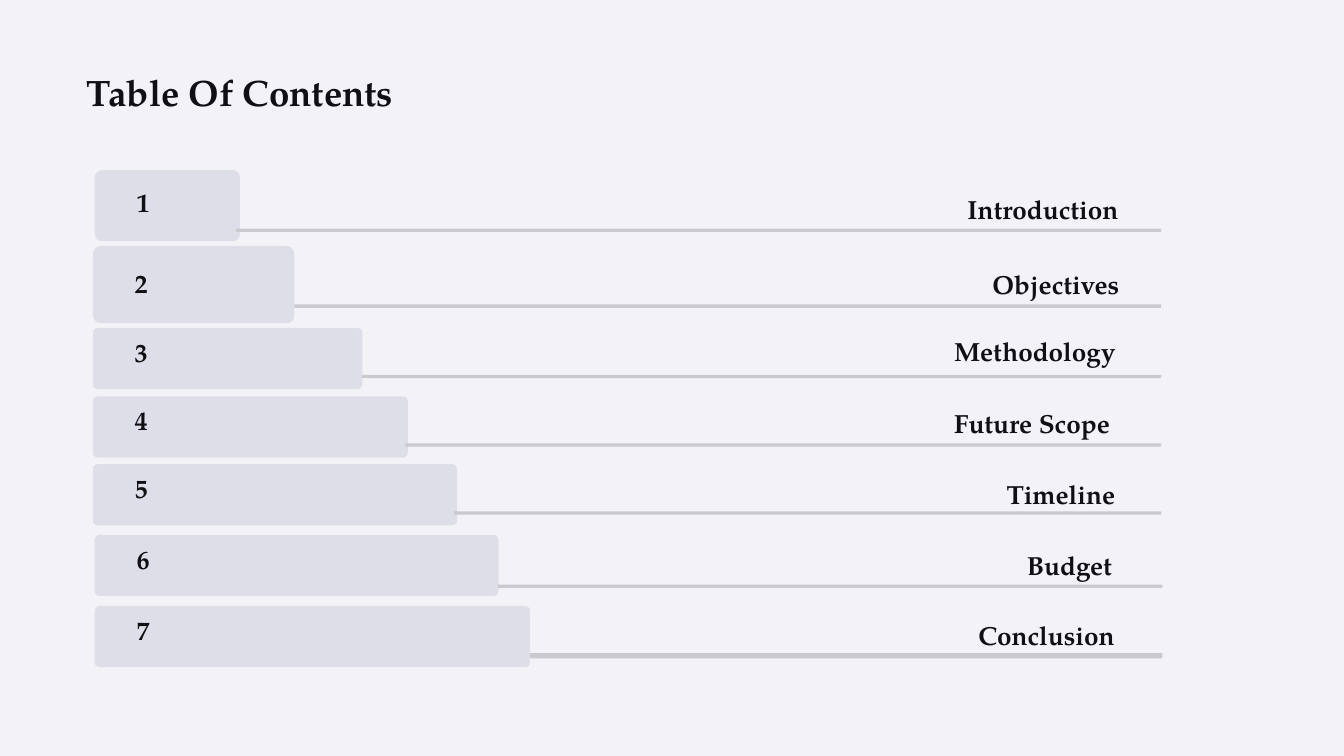
from dataclasses import dataclass

from pptx import Presentation
from pptx.dml.color import RGBColor
from pptx.enum.shapes import MSO_SHAPE
from pptx.enum.text import MSO_ANCHOR, MSO_AUTO_SIZE, PP_ALIGN
from pptx.util import Cm, Pt

FONT = "TeX Gyre Pagella"
INK = "101014"
BACKGROUND = "F3F3F7"
BAR = "DEDEE9"
RULE = "C9C9CE"


@dataclass
class Entry:
    label: str
    bar_left: float
    bar_top: float
    bar_width: float
    rule_left: float
    rule_top: float
    label_left: float
    label_top: float
    bar_height: float = 2.31
    corner: float = 0.08
    number_drop: float = 0.26
    rule_right: float = 43.89
    rule_height: float = 0.13


ENTRIES = [
    Entry("Introduction", 3.58, 6.43, 5.49, 8.92, 8.64, 36.32, 7.49,
          bar_height=2.69, corner=0.1, number_drop=0.58),
    Entry("Objectives", 3.51, 9.3, 7.62, 11.13, 11.51, 37.26, 10.34,
          bar_height=2.92, corner=0.1, number_drop=0.76),
    Entry("Methodology", 3.51, 12.4, 10.19, 13.69, 14.17, 35.81, 12.88),
    Entry("Future Scope", 3.51, 14.99, 11.91, 15.32, 16.76, 35.81, 15.6),
    Entry("Timeline", 3.51, 17.55, 13.77, 17.17, 19.33, 37.8, 18.26),
    Entry("Budget", 3.58, 20.22, 15.27, 18.82, 22.1, 38.56, 20.96,
          rule_right=43.94),
    Entry("Conclusion", 3.58, 22.91, 16.46, 20.04, 24.69, 36.73, 23.6,
          rule_right=43.94, rule_height=0.2),
]


def color(value):
    return RGBColor.from_string(value)


def write(box, text, size, line_spacing, align=PP_ALIGN.LEFT, side_margin=0.25):
    frame = box.text_frame
    frame.word_wrap = True
    frame.auto_size = MSO_AUTO_SIZE.NONE
    frame.vertical_anchor = MSO_ANCHOR.TOP
    frame.margin_left = frame.margin_right = Cm(side_margin)
    frame.margin_top = frame.margin_bottom = Cm(0.13)
    frame.text = text
    paragraph = frame.paragraphs[0]
    paragraph.alignment = align
    paragraph.line_spacing = Pt(line_spacing)
    paragraph.font.name = FONT
    paragraph.font.size = Pt(size)
    paragraph.font.bold = True
    paragraph.font.color.rgb = color(INK)


def add_title(page, text):
    title = page.shapes.title
    title.left, title.top = Cm(3.02), Cm(2.46)
    title.width, title.height = Cm(13.28), Cm(1.96)
    write(title, text, 39.3, 49.1)


def add_block(page, kind, left, top, width, height, fill):
    block = page.shapes.add_shape(kind, Cm(left), Cm(top), Cm(width), Cm(height))
    block.shadow.inherit = False
    block.fill.solid()
    block.fill.fore_color.rgb = color(fill)
    block.line.fill.background()
    return block


def add_entry(page, number, entry):
    bar = add_block(page, MSO_SHAPE.ROUNDED_RECTANGLE, entry.bar_left,
                    entry.bar_top, entry.bar_width, entry.bar_height, BAR)
    bar.adjustments[0] = entry.corner
    add_block(page, MSO_SHAPE.RECTANGLE, entry.rule_left, entry.rule_top,
              entry.rule_right - entry.rule_left, entry.rule_height, RULE)
    number_box = page.shapes.add_textbox(
        Cm(entry.bar_left + 1.33), Cm(entry.bar_top + entry.number_drop),
        Cm(1), Cm(1.63))
    write(number_box, str(number), 28, 31.4, PP_ALIGN.CENTER, side_margin=0)
    label_box = page.shapes.add_textbox(
        Cm(entry.label_left), Cm(entry.label_top), Cm(8.66), Cm(1.04))
    write(label_box, entry.label, 28, 24.6)


def main():
    deck = Presentation()
    deck.slide_width, deck.slide_height = Cm(50.8), Cm(28.58)
    page = deck.slides.add_slide(deck.slide_layouts[5])
    page.background.fill.solid()
    page.background.fill.fore_color.rgb = color(BACKGROUND)
    add_title(page, "Table Of Contents")
    for number, entry in enumerate(ENTRIES, start=1):
        add_entry(page, number, entry)
    deck.save("out.pptx")


if __name__ == "__main__":
    main()
